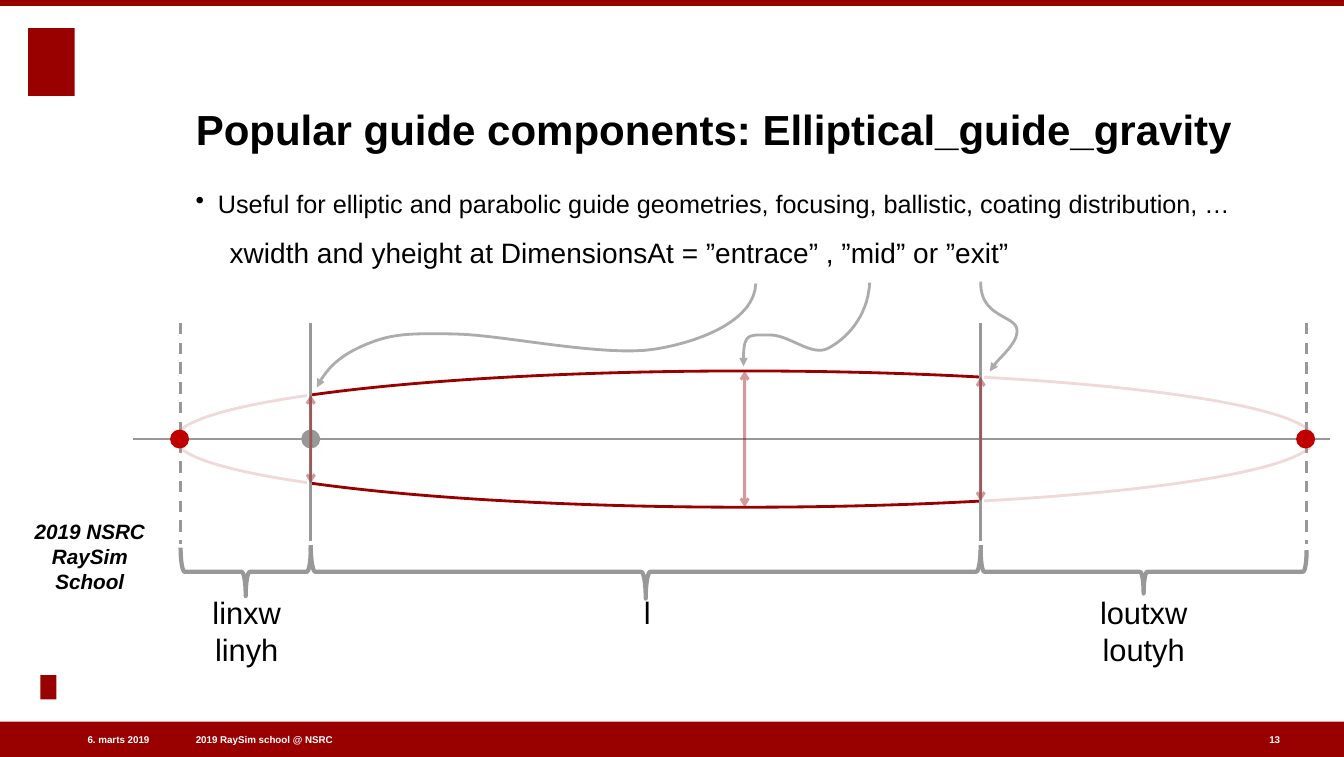
import dataclasses
import typing

import lxml.etree
import pptx
import pptx.dml.color
import pptx.enum.dml
import pptx.enum.shapes
import pptx.enum.text
import pptx.oxml.ns
import pptx.util

COLORS = {"red": "990000", "focus": "C00000", "gray": "989898", "white": "FFFFFF", "black": "000000"}
SHAPE = pptx.enum.shapes.MSO_SHAPE
ALIGN = pptx.enum.text.PP_ALIGN
ANCHOR = pptx.enum.text.MSO_ANCHOR

# The grid has ten columns and ten rows to the inch.
COLUMNS, ROWS = 133.2, 75
FOCUS_IN, ENTRANCE, MIDDLE, EXIT, FOCUS_OUT = 17.9, 30.8, 73.8, 97.2, 129.5
AXIS, BRACE_ROW = 43.5, 56.65
HALF_LENGTH, HALF_HEIGHT = 56.4, 6.75
CURVE_STEPS = 16

Point = tuple[float, float]


@dataclasses.dataclass
class Label:
    text: str
    left: float
    top: float
    width: float
    height: float
    size: float
    color: str = "black"
    bold: bool = False
    italic: bool = False
    align: ALIGN = ALIGN.LEFT
    anchor: ANCHOR = ANCHOR.TOP
    wrap: bool = True
    bullet: bool = False


@dataclasses.dataclass
class Stroke:
    color: str = "gray"
    width: float = 2
    dashed: bool = False
    opacity: int = 100
    head: str = ""
    tail: str = ""


@dataclasses.dataclass
class Brace:
    start: float
    end: float
    depth: float


FOOTER = {"size": 7, "color": "white", "bold": True, "anchor": ANCHOR.MIDDLE}
CENTERED = {"align": ALIGN.CENTER}
LABELS = [
    Label("2019 RaySim school @ NSRC", 19.4, 72.6, 37.2, 1.4, **FOOTER),
    Label("6. marts 2019", 2.7, 72.6, 12.1, 1.4, align=ALIGN.RIGHT, **FOOTER),
    Label("13", 125.8, 72.6, 1.4, 1.4, wrap=False, **FOOTER),
    Label("2019 NSRC\vRaySim School", 3.4, 50.9, 11, 7.9, 14.8, bold=True, italic=True,
          anchor=ANCHOR.BOTTOM, **CENTERED),
    Label("Popular guide components: Elliptical_guide_gravity", 19.4, 4.7, 107.8, 10.6, 30,
          bold=True, anchor=ANCHOR.BOTTOM),
    Label("Useful for elliptic and parabolic guide geometries, focusing, ballistic, "
          "coating distribution, …", 19.4, 18.7, 104.6, 4, 18, bullet=True),
    Label("xwidth and yheight at DimensionsAt = ”entrace” , ”mid” or ”exit”",
          16.1, 23.3, 90.6, 4.6, 20, **CENTERED),
    Label("linxw\vlinyh", 17.8, 58.8, 13.3, 8.7, 22, **CENTERED),
    Label("l", 57.5, 58.8, 13.3, 5, 22, **CENTERED),
    Label("loutxw\vloutyh", 106.7, 58.8, 13.3, 8.7, 22, **CENTERED),
]
BRACES = [Brace(FOCUS_IN, ENTRANCE, 4.8), Brace(ENTRANCE, EXIT, 5.3), Brace(EXIT, FOCUS_OUT, 4.3)]
# Each pointer is a start followed by three points per Bézier segment.
POINTERS: list[list[Point]] = [
    [(74.9, 28.1), (74.8, 31.6), (69.8, 33.8), (64.9, 34.6), (59.9, 35.4), (49.9, 33.2), (45.2, 33.1),
     (40.5, 33), (38.9, 33.1), (36.6, 34), (34.3, 34.9), (32.5, 36.1), (31.4, 38.4)],
    [(86.2, 28), (86, 31.5), (83.8, 33.6), (82.1, 34.5), (80.4, 35.4), (78.2, 33.1), (76.2, 33.2),
     (74.1, 33.2), (73.6, 32.9), (73.7, 36.3)],
    [(97.2, 27.9), (97.1, 31.5), (100.7, 31.2), (100.8, 32.7), (100.9, 34.2), (98.6, 35.7), (98.1, 36.8)],
]


def cells(count: float) -> int:
    return pptx.util.Inches(count / 10)


def rgb(name: str) -> pptx.dml.color.RGBColor:
    return pptx.dml.color.RGBColor.from_string(COLORS[name])


def apply(target: typing.Any, values: dict[str, typing.Any]) -> None:
    for name, value in values.items():
        setattr(target, name, value)


def add_child(parent: typing.Any, tag: str, **attributes: str) -> None:
    lxml.etree.SubElement(parent, pptx.oxml.ns.qn(tag), **attributes)


def set_opacity(shape: typing.Any, color_location: str, percent: int) -> None:
    if percent < 100:
        add_child(shape.element.xpath(f"./p:spPr/{color_location}")[0], "a:alpha", val=str(percent * 1000))


def apply_stroke(shape: typing.Any, stroke: Stroke) -> None:
    shape.line.color.rgb = rgb(stroke.color)
    shape.line.width = pptx.util.Pt(stroke.width)
    if stroke.dashed:
        shape.line.dash_style = pptx.enum.dml.MSO_LINE.DASH
    set_opacity(shape, "a:ln/a:solidFill/a:srgbClr", stroke.opacity)
    line_element = shape.element.xpath("./p:spPr/a:ln")[0]
    for tag, kind in (("a:headEnd", stroke.head), ("a:tailEnd", stroke.tail)):
        if kind:
            add_child(line_element, tag, type=kind)


def add_block(slide: typing.Any, kind: SHAPE, left: float, top: float, width: float, height: float,
              fill: str = "", stroke: Stroke | None = None, opacity: int = 100) -> typing.Any:
    """Add a preset shape, with no fill or outline unless given."""
    shape = slide.shapes.add_shape(kind, *map(cells, (left, top, width, height)))
    shape.shadow.inherit = False
    if fill:
        shape.fill.solid()
        shape.fill.fore_color.rgb = rgb(fill)
        set_opacity(shape, "a:solidFill/a:srgbClr", opacity)
    else:
        shape.fill.background()
    if stroke:
        apply_stroke(shape, stroke)
    else:
        shape.line.fill.background()
    return shape


def add_line(slide: typing.Any, start: Point, end: Point, stroke: Stroke) -> None:
    connector = slide.shapes.add_connector(pptx.enum.shapes.MSO_CONNECTOR.STRAIGHT, *map(cells, start + end))
    apply_stroke(connector, stroke)
    add_child(connector.element.spPr, "a:effectLst")


def add_vertical(slide: typing.Any, column: float, top: float, bottom: float, stroke: Stroke) -> None:
    add_line(slide, (column, top), (column, bottom), stroke)


def add_brace(slide: typing.Any, brace: Brace) -> None:
    """Add a left brace turned to open upwards."""
    span = brace.end - brace.start
    center = (brace.start + brace.end) / 2
    shape = add_block(slide, SHAPE.LEFT_BRACE, center - brace.depth / 2, BRACE_ROW - span / 2,
                      brace.depth, span, stroke=Stroke(width=3))
    shape.rotation = 270


def add_dot(slide: typing.Any, column: float, color: str) -> None:
    add_block(slide, SHAPE.OVAL, column - 0.8, AXIS - 0.8, 1.6, 1.6, color, Stroke(color))


def bezier(controls: list[Point], share: float) -> Point:
    rest = 1 - share
    weights = (rest**3, 3 * rest**2 * share, 3 * rest * share**2, share**3)
    x, y = (sum(w * point[axis] for w, point in zip(weights, controls)) for axis in (0, 1))
    return x, y


def add_pointer(slide: typing.Any, controls: list[Point]) -> None:
    points = [bezier(controls[first:first + 4], step / CURVE_STEPS)
              for first in range(0, len(controls) - 1, 3) for step in range(1, CURVE_STEPS + 1)]
    builder = slide.shapes.build_freeform(*map(cells, controls[0]))
    builder.add_line_segments([(cells(x), cells(y)) for x, y in points], close=False)
    shape = builder.convert_to_shape()
    shape.shadow.inherit = False
    shape.fill.background()
    apply_stroke(shape, Stroke(opacity=80, tail="triangle"))


def add_label(slide: typing.Any, label: Label) -> None:
    box = slide.shapes.add_textbox(*map(cells, (label.left, label.top, label.width, label.height)))
    frame = box.text_frame
    margins = dict.fromkeys(("margin_left", "margin_top", "margin_right", "margin_bottom"), 0)
    apply(frame, {"word_wrap": label.wrap, "vertical_anchor": label.anchor, **margins})
    paragraph = frame.paragraphs[0]
    paragraph.text = label.text
    paragraph.alignment = label.align
    for run in paragraph.runs:
        apply(run.font, {"name": "Arial", "size": pptx.util.Pt(label.size),
                         "bold": label.bold, "italic": label.italic})
        run.font.color.rgb = rgb(label.color)
    if label.bullet:
        properties = paragraph._p.get_or_add_pPr()
        indent = cells(2.2)
        properties.set("marL", str(indent))
        properties.set("indent", str(-indent))
        add_child(properties, "a:buChar", char="•")


def add_guide(slide: typing.Any) -> None:
    add_block(slide, SHAPE.OVAL, MIDDLE - HALF_LENGTH, AXIS - HALF_HEIGHT, 2 * HALF_LENGTH,
              2 * HALF_HEIGHT, "white", Stroke("red"))
    for left, top, width, height in ((14.7, 30, 15.9, 25.9), (97.4, 29.2, 37.5, 27.1)):
        add_block(slide, SHAPE.RECTANGLE, left, top, width, height, "white", Stroke("white"), opacity=85)
    add_line(slide, (13.2, AXIS), (131.8, AXIS), Stroke())
    for column in (ENTRANCE, EXIT):
        add_vertical(slide, column, 32, 53.6, Stroke())
    for column in (FOCUS_IN, FOCUS_OUT):
        add_vertical(slide, column, 32, 53.9, Stroke(dashed=True))
        add_dot(slide, column - 0.1, "focus")
    for brace in BRACES:
        add_brace(slide, brace)
    add_dot(slide, ENTRANCE, "gray")
    for column in (MIDDLE, EXIT, ENTRANCE):
        reach = HALF_HEIGHT * (1 - ((column - MIDDLE) / HALF_LENGTH) ** 2) ** 0.5
        add_vertical(slide, column, AXIS - reach, AXIS + reach,
                     Stroke("red", opacity=40, head="arrow", tail="arrow"))
    for controls in POINTERS:
        add_pointer(slide, controls)


def main() -> None:
    presentation = pptx.Presentation()
    apply(presentation, {"slide_width": cells(COLUMNS), "slide_height": cells(ROWS)})
    slide = presentation.slides.add_slide(presentation.slide_layouts[6])
    bars = [(0, 0, COLUMNS, 0.6), (0, 71.5, COLUMNS, 3.5)]
    emblems = [(2.8, 2.8, 4.6, 6.7), (4, 66.9, 1.6, 2.4)]
    for bounds in bars + emblems:
        add_block(slide, SHAPE.RECTANGLE, *bounds, fill="red")
    add_guide(slide)
    for label in LABELS:
        add_label(slide, label)
    presentation.save("out.pptx")


if __name__ == "__main__":
    main()
